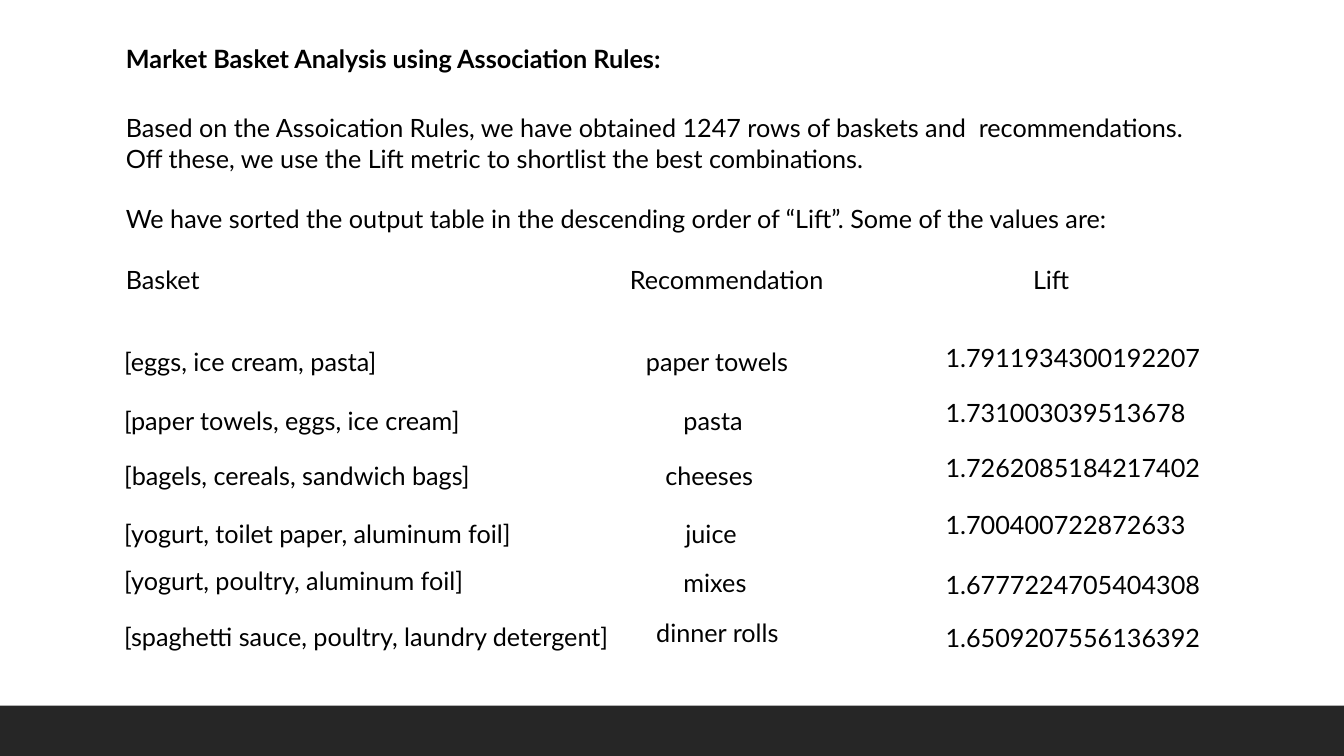
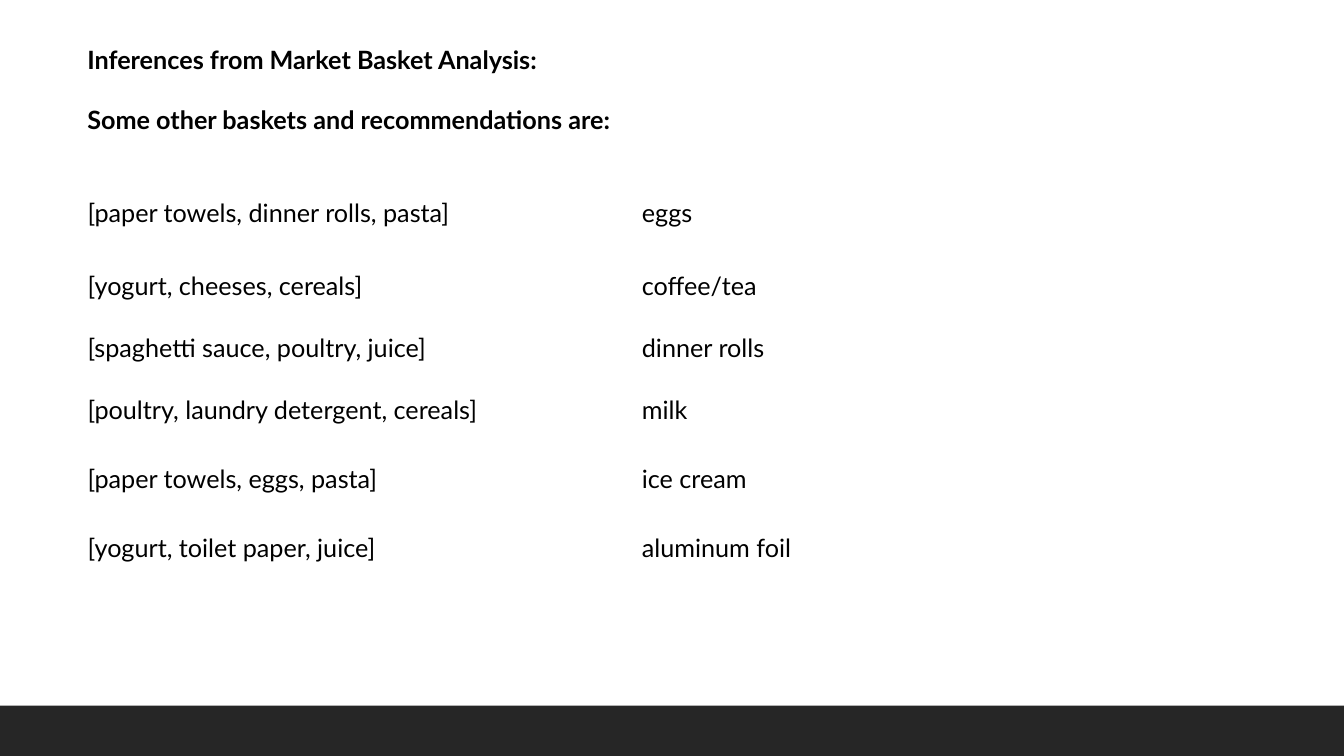
from dataclasses import dataclass

import lxml.etree
import pptx
import pptx.dml.color
import pptx.enum.shapes
import pptx.enum.text
import pptx.oxml.ns
import pptx.util

Pt = pptx.util.Pt

# Shared look
SLIDE_WIDTH, SLIDE_HEIGHT = 960, 540
BAND_HEIGHT = 36
BAND_COLOR = "262626"
TEXT_COLOR = "000000"
FONT_NAME = "Lato"
FONT_SIZE = 18
PARAGRAPH_GAP = 21.6
TABLE_WIDTH = 792
ROW_HEIGHT = 28.8
TITLE_ONLY = 5


@dataclass
class Box:
    left: float
    top: float
    width: float
    height: float


@dataclass
class Entry:
    """A one-column table holding a single value."""
    text: str
    left: float
    top: float
    width: float = TABLE_WIDTH


def color(value: str) -> pptx.dml.color.RGBColor:
    return pptx.dml.color.RGBColor.from_string(value)


def place(shape, box: Box) -> None:
    shape.left, shape.top = Pt(box.left), Pt(box.top)
    shape.width, shape.height = Pt(box.width), Pt(box.height)


def format_text(text_frame, bold: bool = False) -> None:
    for index, paragraph in enumerate(text_frame.paragraphs):
        paragraph.alignment = pptx.enum.text.PP_ALIGN.LEFT
        paragraph.space_before = Pt(PARAGRAPH_GAP if index else 0)
        paragraph.font.size = Pt(FONT_SIZE)
        for run in paragraph.runs:
            run.font.name = FONT_NAME
            run.font.size = Pt(FONT_SIZE)
            run.font.bold = bold
            run.font.color.rgb = color(TEXT_COLOR)


def set_tab_stops(paragraph, positions: list[float]) -> None:
    properties = paragraph._p.get_or_add_pPr()
    tab_list = lxml.etree.Element(pptx.oxml.ns.qn("a:tabLst"))
    for position in positions:
        lxml.etree.SubElement(tab_list, pptx.oxml.ns.qn("a:tab"),
                              pos=str(int(Pt(position))), algn="l")
    # Tab stops come before the default run properties
    defaults = properties.find(pptx.oxml.ns.qn("a:defRPr"))
    if defaults is None:
        properties.append(tab_list)
    else:
        defaults.addprevious(tab_list)


def fill_frame(shape, lines: list[str], bold: bool = False) -> None:
    text_frame = shape.text_frame
    text_frame.text = "\n".join(lines)
    text_frame.word_wrap = True
    text_frame.auto_size = pptx.enum.text.MSO_AUTO_SIZE.NONE
    text_frame.vertical_anchor = pptx.enum.text.MSO_ANCHOR.TOP
    format_text(text_frame, bold)


def add_slide(presentation, title_box: Box, title_lines: list[str]):
    slide = presentation.slides.add_slide(presentation.slide_layouts[TITLE_ONLY])
    # Footer band
    band = slide.shapes.add_shape(
        pptx.enum.shapes.MSO_SHAPE.RECTANGLE, Pt(0), Pt(SLIDE_HEIGHT - BAND_HEIGHT),
        Pt(SLIDE_WIDTH), Pt(BAND_HEIGHT))
    band.shadow.inherit = False
    band.fill.solid()
    band.fill.fore_color.rgb = color(BAND_COLOR)
    band.line.fill.background()
    # Title
    title = slide.shapes.title
    place(title, title_box)
    fill_frame(title, title_lines, bold=True)
    return slide


def add_body(slide, box: Box, lines: list[str]):
    body = slide.shapes.add_textbox(Pt(0), Pt(0), Pt(0), Pt(0))
    place(body, box)
    fill_frame(body, lines)
    return body


def add_entry(slide, entry: Entry, row_heights: tuple[float, ...] = (ROW_HEIGHT,)):
    table = slide.shapes.add_table(
        len(row_heights), 1, Pt(entry.left), Pt(entry.top),
        Pt(entry.width), Pt(sum(row_heights))).table
    table.first_row = table.horz_banding = False
    for row, height in zip(table.rows, row_heights):
        row.height = Pt(height)
        row.cells[0].fill.background()
        row.cells[0].vertical_anchor = pptx.enum.text.MSO_ANCHOR.MIDDLE
    text_frame = table.cell(0, 0).text_frame
    text_frame.text = entry.text
    format_text(text_frame)
    return text_frame


def build_rules_slide(presentation) -> None:
    slide = add_slide(presentation, Box(82.8, 27.4, 793.4, 72.7),
                      ["Market Basket Analysis using Association Rules:"])
    body = add_body(slide, Box(82.8, 77, 793.4, 247), [
        "Based on the Assoication Rules, we have obtained 1247 rows of baskets and  "
        "recommendations. Off these, we use the Lift metric to shortlist the best "
        "combinations.",
        "We have sorted the output table in the descending order of “Lift”. "
        "Some of the values are:",
        "Basket\tRecommendation\tLift",
    ])
    set_tab_stops(body.text_frame.paragraphs[-1], [360, 648])

    # The first basket shares its cell with its recommendation
    basket_left, lift_left = 81.4, 668.2
    first = add_entry(slide, Entry("[eggs, ice cream, pasta]\tpaper towels",
                                   basket_left, 244.1), (ROW_HEIGHT, 72))
    set_tab_stops(first.paragraphs[0], [372.8])

    # Remaining baskets, recommendations and lift values
    baskets = [
        ("[paper towels, eggs, ice cream]", 285.8),
        ("[bagels, cereals, sandwich bags]", 325.4),
        ("[yogurt, toilet paper, aluminum foil]", 366.5),
        ("[yogurt, poultry, aluminum foil]", 400.3),
        ("[spaghetti sauce, poultry, laundry detergent]", 440.2),
    ]
    recommendations = [
        Entry("pasta", 481, 286.3),
        Entry("cheeses", 468, 325.4),
        Entry("juice", 482.4, 366.5),
        Entry("mixes", 481, 401.8),
        Entry("dinner rolls", 461.5, 437.8),
    ]
    lifts = [
        ("1.7911934300192207", 241.2),
        ("1.731003039513678", 280.1),
        ("1.7262085184217402", 319.7),
        ("1.700400722872633", 360.7),
        ("1.6777224705404308", 403.2),
        ("1.6509207556136392", 441.4),
    ]
    entries = [Entry(text, basket_left, top) for text, top in baskets]
    entries += recommendations
    entries += [Entry(text, lift_left, top) for text, top in lifts]
    for entry in sorted(entries, key=lambda item: item.top):
        add_entry(slide, entry)


def build_inferences_slide(presentation) -> None:
    slide = add_slide(presentation, Box(55.2, 28, 835.2, 138.2), [
        "Inferences from Market Basket Analysis:",
        "Some other baskets and recommendations are:",
    ])
    rows = [
        (137.5, "[paper towels, dinner rolls, pasta]", "eggs", 333.4),
        (189.5, "[yogurt, cheeses, cereals]", "coffee/tea", TABLE_WIDTH),
        (234, "[spaghetti sauce, poultry, juice]", "dinner rolls", TABLE_WIDTH),
        (278.6, "[poultry, laundry detergent, cereals]", "milk", TABLE_WIDTH),
        (327.6, "[paper towels, eggs, pasta]", "ice cream", TABLE_WIDTH),
        (376.8, "[yogurt, toilet paper, juice]", "aluminum foil", TABLE_WIDTH),
    ]
    for top, basket, recommendation, width in rows:
        add_entry(slide, Entry(basket, 55.3, top))
        add_entry(slide, Entry(recommendation, 451.3, top, width))


def main() -> None:
    presentation = pptx.Presentation()
    presentation.slide_width = Pt(SLIDE_WIDTH)
    presentation.slide_height = Pt(SLIDE_HEIGHT)
    build_rules_slide(presentation)
    build_inferences_slide(presentation)
    presentation.save("out.pptx")


if __name__ == "__main__":
    main()
